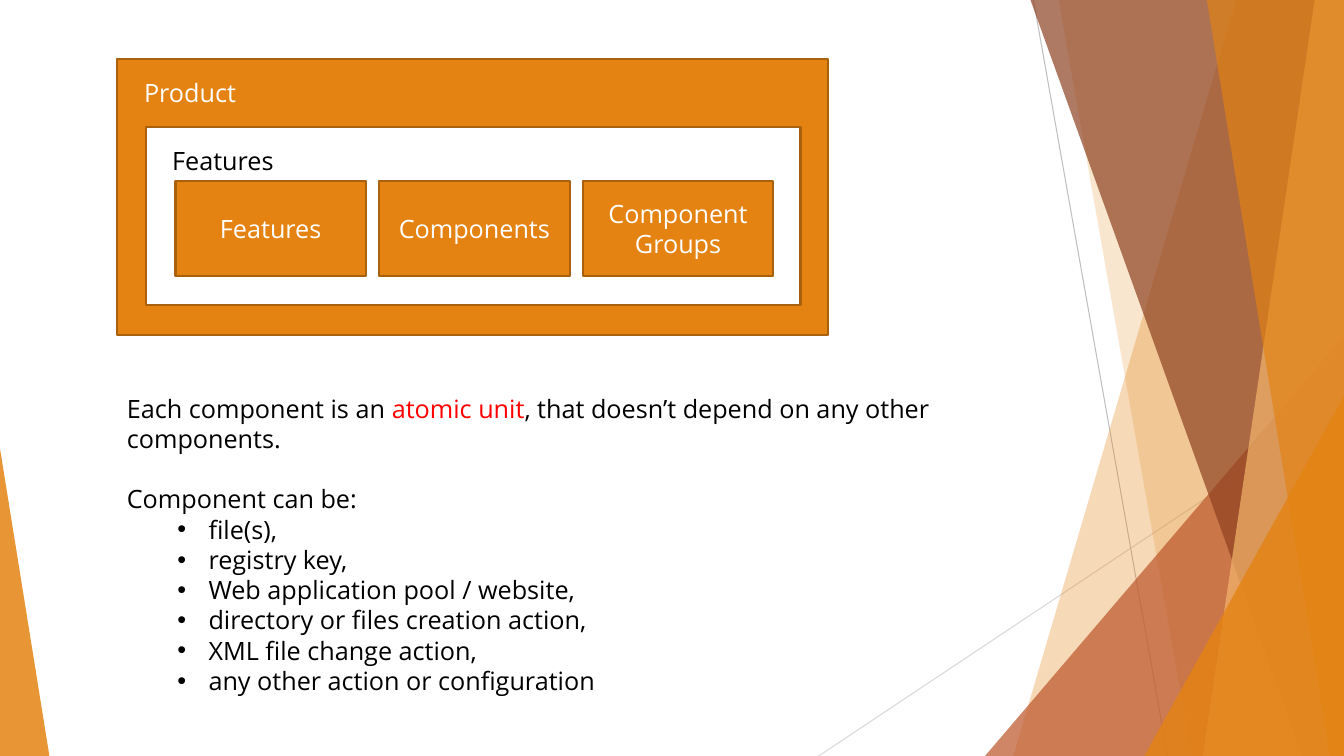
from dataclasses import dataclass

from pptx import Presentation
from pptx import util as u
from pptx.dml.color import RGBColor
from pptx.enum import shapes, text
from pptx.oxml.ns import qn
from lxml import etree

W, H = 13.33, 7.5


@dataclass(frozen=True)
class Theme:
    font: str = "Open Sans"
    size: int = 18
    orange: str = "E48312"
    edge: str = "A9610D"
    rust: str = "BD582C"
    brown: str = "8E4221"
    sand: str = "F3B56C"
    pale: str = "D9D9D9"
    grey: str = "BFBFBF"
    white: str = "FFFFFF"
    black: str = "000000"
    red: str = "FF0000"


T = Theme()


def rgb(code):
    return RGBColor.from_string(code)


def style(par, color):
    par.font.name = T.font
    par.font.size = u.Pt(T.size)
    par.font.color.rgb = rgb(color)


def line(slide, start, end, color):
    rule = slide.shapes.add_connector(
        shapes.MSO_CONNECTOR.STRAIGHT, *map(u.Inches, start + end))
    rule.line.color.rgb = rgb(color)
    rule.line.width = u.Pt(0.75)
    etree.SubElement(rule._element.spPr, qn("a:effectLst"))


def facet(slide, points, color, alpha):
    points = [(u.Inches(x), u.Inches(y)) for x, y in points]
    form = slide.shapes.build_freeform(*points[0])
    form.add_line_segments(points[1:], close=True)
    shape = form.convert_to_shape()
    shape.shadow.inherit = False
    shape.line.fill.background()
    shape.fill.solid()
    shape.fill.fore_color.rgb = rgb(color)
    tint = shape._element.spPr.find(qn("a:solidFill"))[0]
    etree.SubElement(tint, qn("a:alpha"), val=str(alpha * 1000))


def panel(slide, box, fill, words=""):
    shape = slide.shapes.add_shape(
        shapes.MSO_SHAPE.RECTANGLE, *map(u.Inches, box))
    shape.shadow.inherit = False
    shape.fill.solid()
    shape.fill.fore_color.rgb = rgb(fill)
    shape.line.color.rgb = rgb(T.edge)
    shape.line.width = u.Pt(1.5)
    if words:
        frame = shape.text_frame
        frame.text = words
        frame.vertical_anchor = text.MSO_ANCHOR.MIDDLE
        frame.paragraphs[0].alignment = text.PP_ALIGN.CENTER
        style(frame.paragraphs[0], T.white)


def label(slide, box, words, color):
    frame = slide.shapes.add_textbox(*map(u.Inches, box)).text_frame
    frame.word_wrap = True
    frame.text = words
    style(frame.paragraphs[0], color)


def decor(slide):
    # Thin rules
    line(slide, (8.12, H), (W, 4.03), T.pale)
    line(slide, (10.25, 0), (11.58, H), T.grey)
    # Overlapping facets, back to front
    top, foot = (W, 0), (W, H)
    for points, color, alpha in (
        ([(12.26, 0), (10.05, H), foot, top], T.orange, 30),
        ([(10.5, 0), (11.82, H), foot, top], T.orange, 20),
        ([(9.77, H), (W, 3.33), foot], T.rust, 72),
        ([(10.22, 0), (12.92, H), foot, top], T.brown, 70),
        ([(13.04, 0), (11.93, H), foot, top], T.sand, 70),
        ([(11.97, 0), (13.19, H), foot, top], T.orange, 65),
        ([(11.35, H), (W, 3.93), foot], T.orange, 80),
        ([(0, 4.45), (0.49, H), (0, H)], T.orange, 85),
    ):
        facet(slide, points, color, alpha)


def product(slide, box):
    x, y, w, h = box
    # Outer product frame
    panel(slide, box, T.orange)
    label(slide, (x + 0.17, y + 0.13, 1.12, 0.4), "Product", T.white)
    # Inner features frame
    pad = 0.29
    x, y, w, h = x + pad, y + 0.67, w - 2 * pad + 0.02, 1.77
    panel(slide, (x, y, w, h), T.white)
    label(slide, (x + 0.16, y + 0.13, 1.24, 0.4), "Features", T.black)
    # Row of parts
    wide, gap = 1.89, 0.13
    for i, name in enumerate(("Features", "Components", "Component Groups")):
        left = x + pad + i * (wide + gap)
        panel(slide, (left, y + 0.54, wide, 0.94), T.orange, name)


def notes(slide, box):
    frame = slide.shapes.add_textbox(*map(u.Inches, box)).text_frame
    frame.word_wrap = True
    # Definition with its key term
    first = frame.paragraphs[0]
    style(first, T.black)
    first.add_run().text = "Each component is an "
    term = first.add_run()
    term.text = "atomic unit"
    term.font.color.rgb = rgb(T.red)
    first.add_run().text = ", that doesn’t depend on any other components."
    # List of kinds
    head = frame.add_paragraph()
    head.text = "Component can be:"
    head.space_before = u.Pt(21.6)
    style(head, T.black)
    for kind in (
        "file(s),",
        "registry key,",
        "Web application pool / website,",
        "directory or files creation action,",
        "XML file change action,",
        "any other action or configuration",
    ):
        item = frame.add_paragraph()
        item.text = kind
        item.level = 1
        style(item, T.black)
        props = item._p.get_or_add_pPr()
        props.set("marL", str(u.Inches(0.81)))
        props.set("indent", str(u.Inches(-0.31)))
        mark = etree.Element(qn("a:buFont"), typeface="Arial")
        dot = etree.Element(qn("a:buChar"), char="•")
        props.find(qn("a:defRPr")).addprevious(mark)
        mark.addnext(dot)


def main():
    deck = Presentation()
    deck.slide_width, deck.slide_height = u.Inches(W), u.Inches(H)
    slide = deck.slides.add_slide(deck.slide_layouts[6])
    decor(slide)
    product(slide, (1.16, 0.59, 7.05, 2.73))
    notes(slide, (1.16, 3.85, 9.55, 2.83))
    deck.save("out.pptx")


if __name__ == "__main__":
    main()
